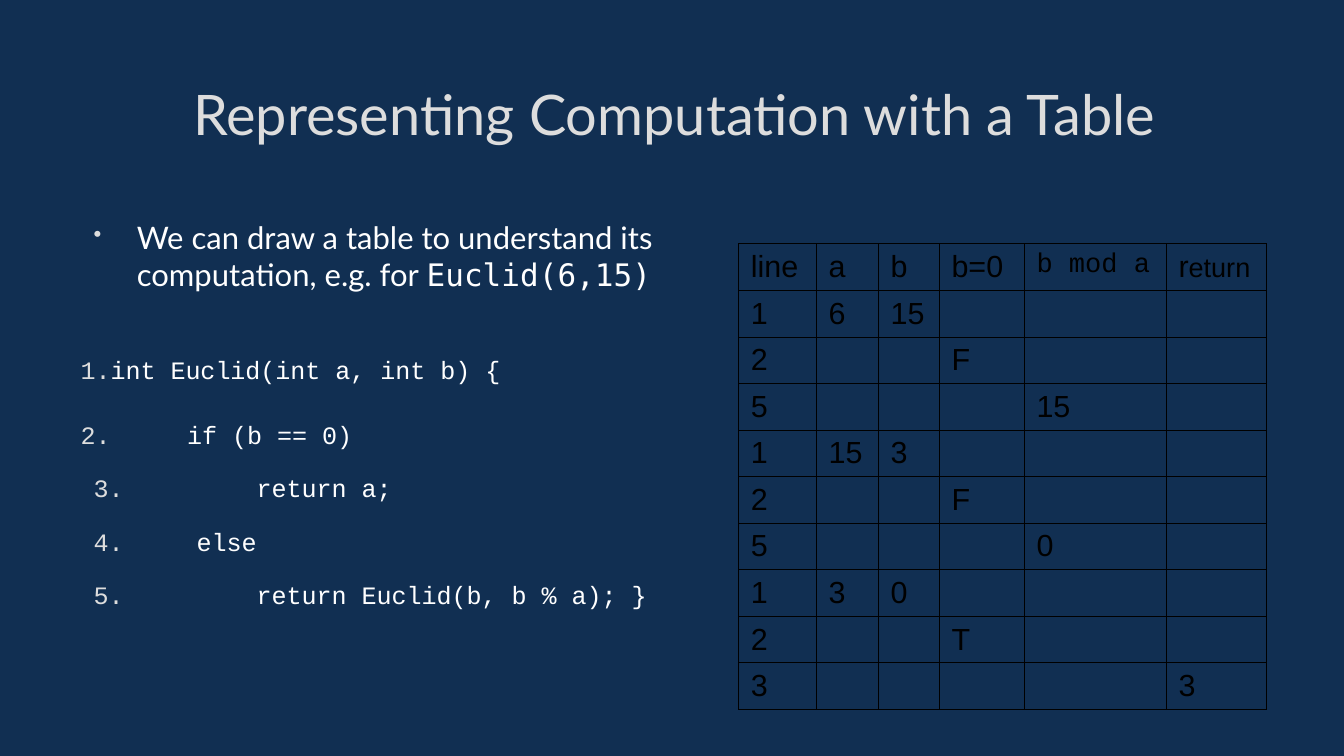
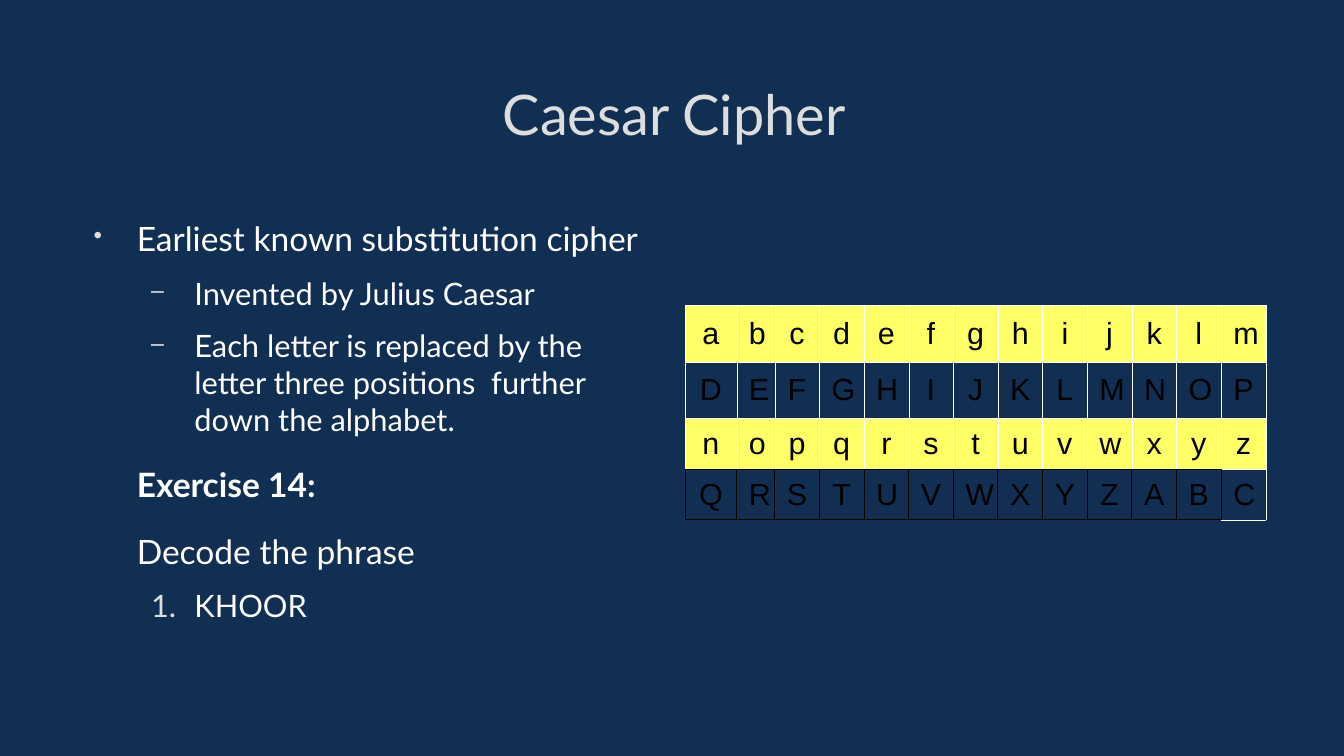
from lxml import etree
from pptx import Presentation
from pptx.dml.color import RGBColor
from pptx.enum.text import MSO_ANCHOR, MSO_AUTO_SIZE, PP_ALIGN
from pptx.oxml.ns import qn
from pptx.util import Cm, Pt

MIDDLE = MSO_ANCHOR.MIDDLE
CENTER, LEFT = PP_ALIGN.CENTER, PP_ALIGN.LEFT
NO_AUTOFIT = MSO_AUTO_SIZE.NONE

COLORS = {
    "background": "112F52",
    "title": "DDDDDD",
    "text": "FFFFFF",
    "cell_text": "000000",
    "highlight": "FFFF66",
    "thin_line": "FFFFFF",
    "dark_line": "000000",
}
LINE_WIDTHS = {"thin_line": Pt(0.06), "dark_line": Pt(0.57)}
TITLE_ONLY = 5


def add_paragraph(text_frame, text, size, margin, indent, before, bullet=None, font="Lato", level=0):
    paragraph = text_frame.paragraphs[0]
    if paragraph.runs:
        paragraph = text_frame.add_paragraph()
        paragraph.space_before = Pt(before)
    paragraph.level = level
    paragraph.alignment = LEFT
    paragraph.add_run().text = text
    properties = paragraph._p.get_or_add_pPr()
    properties.set("marL", str(Cm(margin)))
    properties.set("indent", str(Cm(indent)))
    if bullet:
        color = etree.SubElement(properties, qn("a:buClr"))
        etree.SubElement(color, qn("a:srgbClr"), val=COLORS["title"])
    if bullet == "number":
        etree.SubElement(properties, qn("a:buAutoNum"), type="arabicPeriod")
    elif bullet:
        etree.SubElement(properties, qn("a:buSzPct"), val="75000")
        etree.SubElement(properties, qn("a:buChar"), char=bullet)
    else:
        etree.SubElement(properties, qn("a:buNone"))
    paragraph.font.name = font
    paragraph.font.size = Pt(size)
    paragraph.font.color.rgb = RGBColor.from_string(COLORS["text"])
    return paragraph


def style_cell(cell, text, alignment, borders, fill=None):
    paragraph = cell.text_frame.paragraphs[0]
    paragraph.alignment = alignment
    if text:
        paragraph.add_run().text = text
    paragraph.font.name = "Arial"
    paragraph.font.size = Pt(18)
    paragraph.font.bold = False
    paragraph.font.color.rgb = RGBColor.from_string(COLORS["cell_text"])
    properties = cell._tc.get_or_add_tcPr()
    for side, line_name in zip("LRTB", borders):
        line = etree.SubElement(properties, qn(f"a:ln{side}"), w=str(LINE_WIDTHS[line_name]))
        line_fill = etree.SubElement(line, qn("a:solidFill"))
        etree.SubElement(line_fill, qn("a:srgbClr"), val=COLORS[line_name])
    if fill:
        cell.fill.solid()
        cell.fill.fore_color.rgb = RGBColor.from_string(COLORS[fill])
    else:
        cell.fill.background()


presentation = Presentation()
presentation.slide_width = Cm(28)
presentation.slide_height = Cm(15.75)
background = presentation.slide_master.background.fill
background.solid()
background.fore_color.rgb = RGBColor.from_string(COLORS["background"])

TABLES = {
    "Representing Computation with a Table": {
        "place": (15.39, 5.08),
        "columns": [1.62, 1.29, 1.27, 1.77, 2.96, 2.08],
        "rows": [0.97] * 10,
    },
    "Caesar Cipher": {
        "place": (14.27, 6.36),
        "columns": [1.08, 0.79] + [0.93] * 11,
        "rows": [1.18, 1.17, 1.06, 1.06],
    },
}

bodies, tables = [], []
for title_text, layout in TABLES.items():
    slide = presentation.slides.add_slide(presentation.slide_layouts[TITLE_ONLY])
    title = slide.shapes.title
    title.left, title.top, title.width, title.height = Cm(1.65), Cm(0.97), Cm(24.8), Cm(2.77)
    title.text_frame.text = title_text
    paragraph = title.text_frame.paragraphs[0]
    paragraph.alignment = CENTER
    paragraph.font.name = "Lato"
    paragraph.font.size = Pt(33)
    paragraph.font.color.rgb = RGBColor.from_string(COLORS["title"])
    body = slide.shapes.add_textbox(Cm(1.65), Cm(4.55), Cm(12.1), Cm(9.1))
    for text_frame in (title.text_frame, body.text_frame):
        text_frame.word_wrap = True
        text_frame.auto_size = NO_AUTOFIT
        text_frame.margin_left = text_frame.margin_right = 0
        text_frame.margin_top = text_frame.margin_bottom = 0
    title.text_frame.vertical_anchor = MIDDLE
    bodies.append(body.text_frame)

    columns, rows = layout["columns"], layout["rows"]
    left, top = layout["place"]
    table = slide.shapes.add_table(
        len(rows), len(columns), Cm(left), Cm(top), Cm(sum(columns)), Cm(sum(rows))
    ).table
    table.first_row = table.horz_banding = False
    for column, width in zip(table.columns, columns):
        column.width = Cm(width)
    for row, height in zip(table.rows, rows):
        row.height = Cm(height)
    tables.append(table)

euclid_body, caesar_body = bodies
trace_table, cipher_table = tables

paragraph = add_paragraph(
    euclid_body, "We can draw a table to understand its computation, e.g. for ", 18.3, 1.2, -0.9, 0, "•"
)
call = paragraph.add_run()
call.text = "Euclid(6,15)"
call.font.name = "DejaVu Sans Mono"

CODE_LINES = [
    ("int Euclid(int a, int b) {", 0.03, 0, 38.6, 0.9),
    ("    if (b == 0)", 1, -0.97, 0.5, Pt(37.7)),
    ("        return a;", 1.2, -0.9, 15.6, 0.9),
    ("    else", 1.2, -0.9, 15.6, 0.9),
    ("        return Euclid(b, b % a); }", 1.2, -0.9, 15.6, 0.9),
]
for text, margin, indent, before, line_spacing in CODE_LINES:
    paragraph = add_paragraph(euclid_body, text, 14.8, margin, indent, before, "number", "Courier New")
    paragraph.line_spacing = line_spacing

TRACE = [
    ["line", "a", "b", "b=0", "b mod a", "r"],
    ["1", "6", "15", "", "", ""],
    ["2", "", "", "F", "", ""],
    ["5", "", "", "", "15", ""],
    ["1", "15", "3", "", "", ""],
    ["2", "", "", "F", "", ""],
    ["5", "", "", "", "0", ""],
    ["1", "3", "0", "", "", ""],
    ["2", "", "", "T", "", ""],
    ["3", "", "", "", "", "3"],
]
for row_index, values in enumerate(TRACE):
    for column_index, value in enumerate(values):
        style_cell(trace_table.cell(row_index, column_index), value, LEFT, ["dark_line"] * 4)
modulo_font = trace_table.cell(0, 4).text_frame.paragraphs[0].font
modulo_font.name = "Courier New"
modulo_font.size = Pt(16)
return_ending = trace_table.cell(0, 5).text_frame.paragraphs[0].add_run()
return_ending.text = "eturn"
return_ending.font.size = Pt(16)

add_paragraph(caesar_body, "Earliest known substitution cipher", 19.8, 1.2, -0.9, 0, "•")
for text in (
    "Invented by Julius Caesar",
    "Each letter is replaced by the letter three positions  further down the alphabet.",
):
    add_paragraph(caesar_body, text, 18.2, 2.4, -0.9, 9.3, "–", level=1)
exercise = add_paragraph(caesar_body, "Exercise 14:", 19.8, 1.2, 0, 15.6)
exercise.font.bold = True
add_paragraph(caesar_body, "Decode the phrase", 19.8, 1.2, 0, 15.6)
add_paragraph(caesar_body, "KHOOR", 18.2, 2.4, -0.9, 9.3, "number", level=1)

CIPHER = ["abcdefghijklm", "DEFGHIJKLMNOP", "nopqrstuvwxyz", "QRSTUVWXYZABC"]
for row_index, letters in enumerate(CIPHER):
    for column_index, letter in enumerate(letters):
        borders = ["thin_line"] * 4
        if row_index == 3:
            borders = ["dark_line"] * 4 if letter != "C" else ["dark_line"] + ["thin_line"] * 3
        elif row_index == 2 and letter != "z":
            borders[3] = "dark_line"
        cell = cipher_table.cell(row_index, column_index)
        style_cell(cell, letter, CENTER, borders, "highlight" if letter.islower() else None)
        cell.vertical_anchor = MIDDLE

presentation.save("out.pptx")
